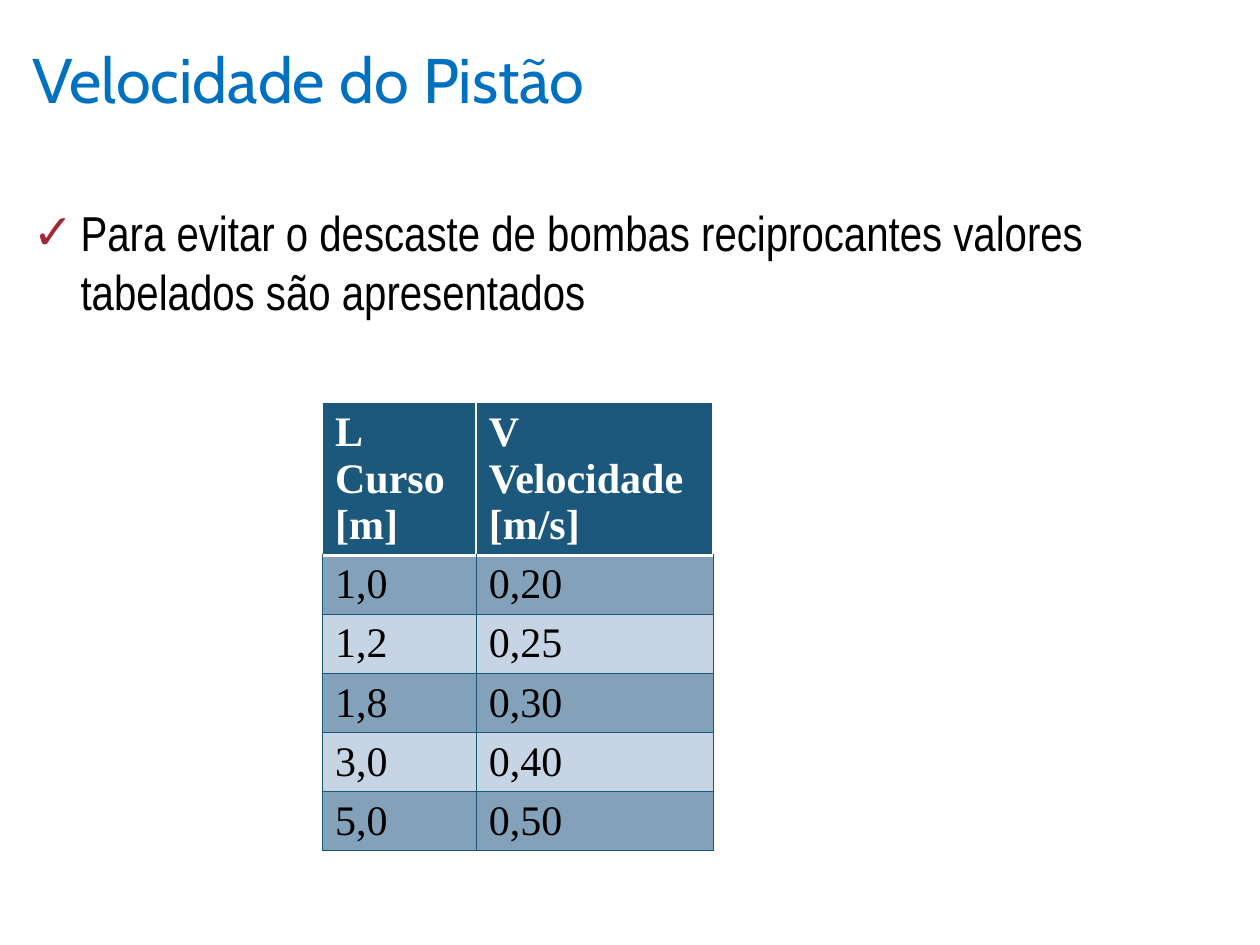
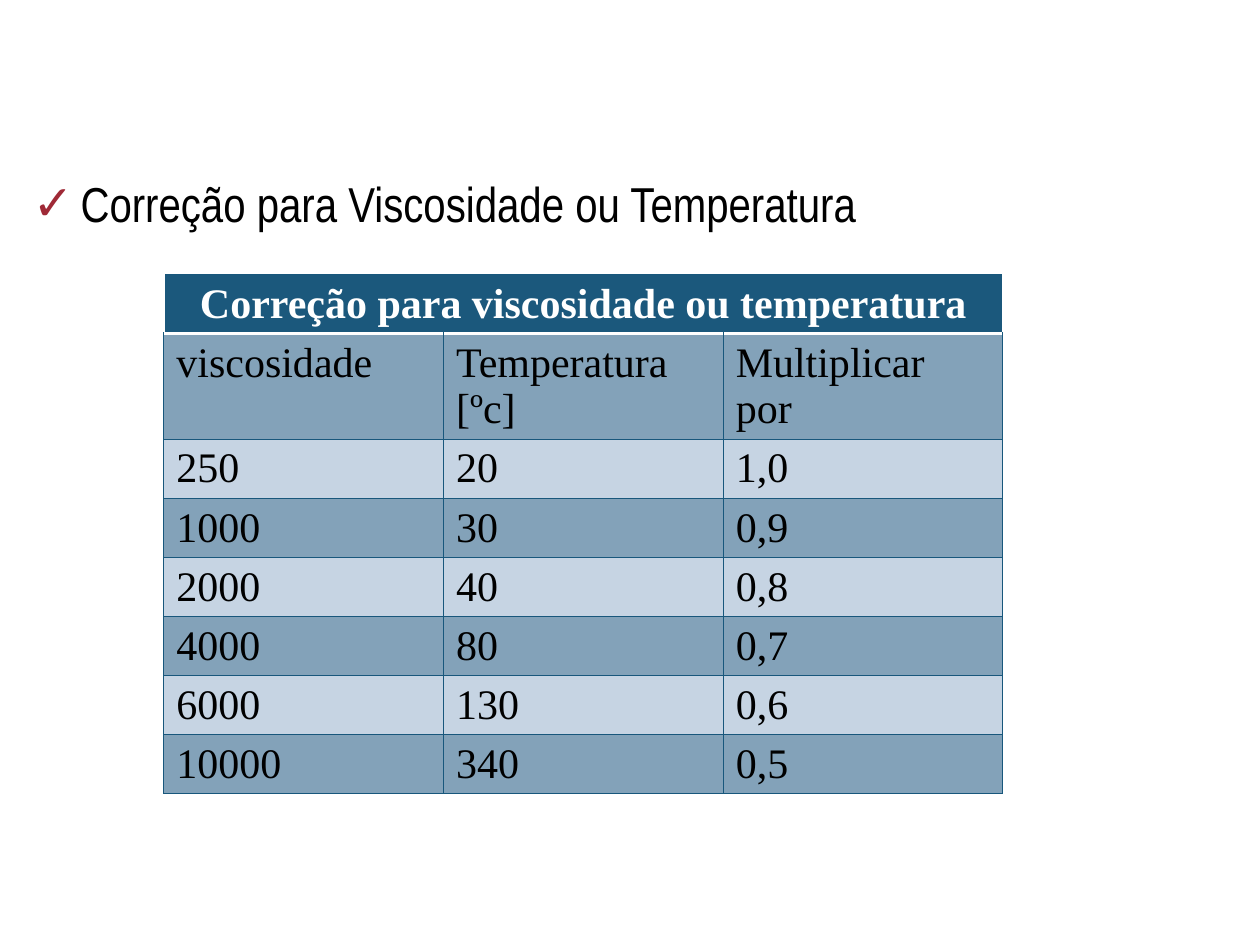
from pptx import Presentation
from pptx.dml.color import RGBColor as Color
from pptx.enum.text import MSO_ANCHOR as Anchor, PP_ALIGN as Align
from pptx.oxml.ns import qn
from pptx.util import Inches, Pt
from lxml.etree import SubElement, Element

TITLE_BLUE = Color(0x00, 0x70, 0xC0)
CHECK_RED = Color(0x9F, 0x29, 0x36)
BLACK = Color(0x00, 0x00, 0x00)
WHITE = Color(0xFF, 0xFF, 0xFF)
HEADER_BLUE = Color(0x1B, 0x58, 0x7C)
BORDER_BLUE = Color(0x18, 0x57, 0x7C)
BAND_DARK = Color(0x83, 0xA2, 0xB9)
BAND_LIGHT = Color(0xC6, 0xD4, 0xE3)

TITLE_FONT = dict(name="Cabin", size=Pt(36), color=TITLE_BLUE)
BODY_FONT = dict(name="Arial Narrow", size=Pt(28), color=BLACK)
HEADER_FONT = dict(name="Times New Roman", size=Pt(24), color=WHITE, bold=True)
CELL_FONT = dict(HEADER_FONT, color=BLACK, bold=False)

MARGIN = 0.16
ROW_HEIGHT = 0.41


class LectureDeck:
    """Holds the deck style and the page being filled."""

    def __init__(self):
        self.deck = Presentation()
        self.deck.slide_width, self.deck.slide_height = Inches(10), Inches(7.5)
        self.page = None

    def add_page(self):
        self.page = self.deck.slides.add_slide(self.deck.slide_layouts[1])

    @staticmethod
    def place(box, left, top, width, height):
        sides = dict(left=left, top=top, width=width, height=height)
        for side, length in sides.items():
            setattr(box, side, Inches(length))

    @staticmethod
    def add_span(para, text, font_format):
        span = para.add_run()
        span.text = text
        for key, value in font_format.items():
            if key == "color":
                span.font.color.rgb = value
            else:
                setattr(span.font, key, value)

    def title(self, text=None):
        box = self.page.shapes.title
        if text is None:
            box.element.getparent().remove(box.element)
            return
        self.place(box, MARGIN, 0, 9.69, 1.25)
        box.text_frame.vertical_anchor = Anchor.MIDDLE
        para = box.text_frame.paragraphs[0]
        para.alignment = Align.LEFT
        self.add_span(para, text, TITLE_FONT)

    def check_item(self, text, top):
        box = self.page.placeholders[1]
        self.place(box, MARGIN, top, 9.68, 5.02)
        para = box.text_frame.paragraphs[0]
        para.space_before = Pt(0)
        props = para._p.get_or_add_pPr()
        props.set("marL", str(Inches(0.38)))
        props.set("indent", str(-Inches(0.38)))
        bullet_color = SubElement(props, qn("a:buClr"))
        SubElement(bullet_color, qn("a:srgbClr"), val=str(CHECK_RED))
        SubElement(props, qn("a:buChar"), char="✓")
        self.add_span(para, text, BODY_FONT)

    @staticmethod
    def borders(cell, **edges):
        """Draw each edge (L, R, T, B) from a (colour, points) pair."""
        props = cell._tc.get_or_add_tcPr()
        for position, (edge, (color, points)) in enumerate(edges.items()):
            line = Element(qn(f"a:ln{edge}"), w=str(Pt(points)))
            fill = SubElement(line, qn("a:solidFill"))
            SubElement(fill, qn("a:srgbClr"), val=str(color))
            props.insert(position, line)

    def fill_cell(self, cell, text, row, align):
        cell.fill.solid()
        bands = (BAND_LIGHT, BAND_DARK)
        cell.fill.fore_color.rgb = bands[row % 2] if row else HEADER_BLUE
        thin, rule = (BORDER_BLUE, 0.75), (WHITE, 2)
        if row:
            self.borders(cell, L=thin, R=thin, T=rule if row == 1 else thin, B=thin)
        else:
            self.borders(cell, T=thin, B=rule)
        for index, line in enumerate(text.split("\n")):
            frame = cell.text_frame
            para = frame.add_paragraph() if index else frame.paragraphs[0]
            para.alignment = align
            self.add_span(para, line, CELL_FONT if row else HEADER_FONT)

    def table(self, rows, left, top, widths):
        """Build a banded table; a first row of one text spans all columns."""
        frame = self.page.shapes.add_table(
            len(rows), len(widths), Inches(left), Inches(top),
            Inches(sum(widths)), Inches(ROW_HEIGHT * len(rows)))
        grid = frame.table
        for column, width in zip(grid.columns, widths):
            column.width = Inches(width)
        for line in grid.rows:
            line.height = Inches(ROW_HEIGHT)
        for row, texts in enumerate(rows):
            spans_all = len(texts) == 1
            if spans_all:
                grid.cell(row, 0).merge(grid.cell(row, len(widths) - 1))
            for column, text in enumerate(texts):
                self.fill_cell(grid.cell(row, column), text, row,
                               Align.CENTER if spans_all else Align.LEFT)


def main():
    lecture = LectureDeck()

    # Piston speed
    lecture.add_page()
    lecture.title("Velocidade do Pistão")
    lecture.check_item("Para evitar o descaste de bombas reciprocantes valores "
                       "tabelados são apresentados", top=1.56)
    speeds = [
        ("L\nCurso [m]", "V\nVelocidade [m/s]"),
        ("1,0", "0,20"),
        ("1,2", "0,25"),
        ("1,8", "0,30"),
        ("3,0", "0,40"),
        ("5,0", "0,50"),
    ]
    lecture.table(speeds, left=2.56, top=3.2, widths=[1.22, 1.88])

    # Correction for viscosity or temperature
    lecture.add_page()
    lecture.title()
    lecture.check_item("Correção para Viscosidade ou Temperatura", top=1.33)
    corrections = [
        ("Correção para viscosidade ou temperatura",),
        ("viscosidade", "Temperatura [ºc]", "Multiplicar por"),
        ("250", "20", "1,0"),
        ("1000", "30", "0,9"),
        ("2000", "40", "0,8"),
        ("4000", "80", "0,7"),
        ("6000", "130", "0,6"),
        ("10000", "340", "0,5"),
    ]
    lecture.table(corrections, left=1.3, top=2.18, widths=[2.22] * 3)

    lecture.deck.save("out.pptx")


if __name__ == "__main__":
    main()
